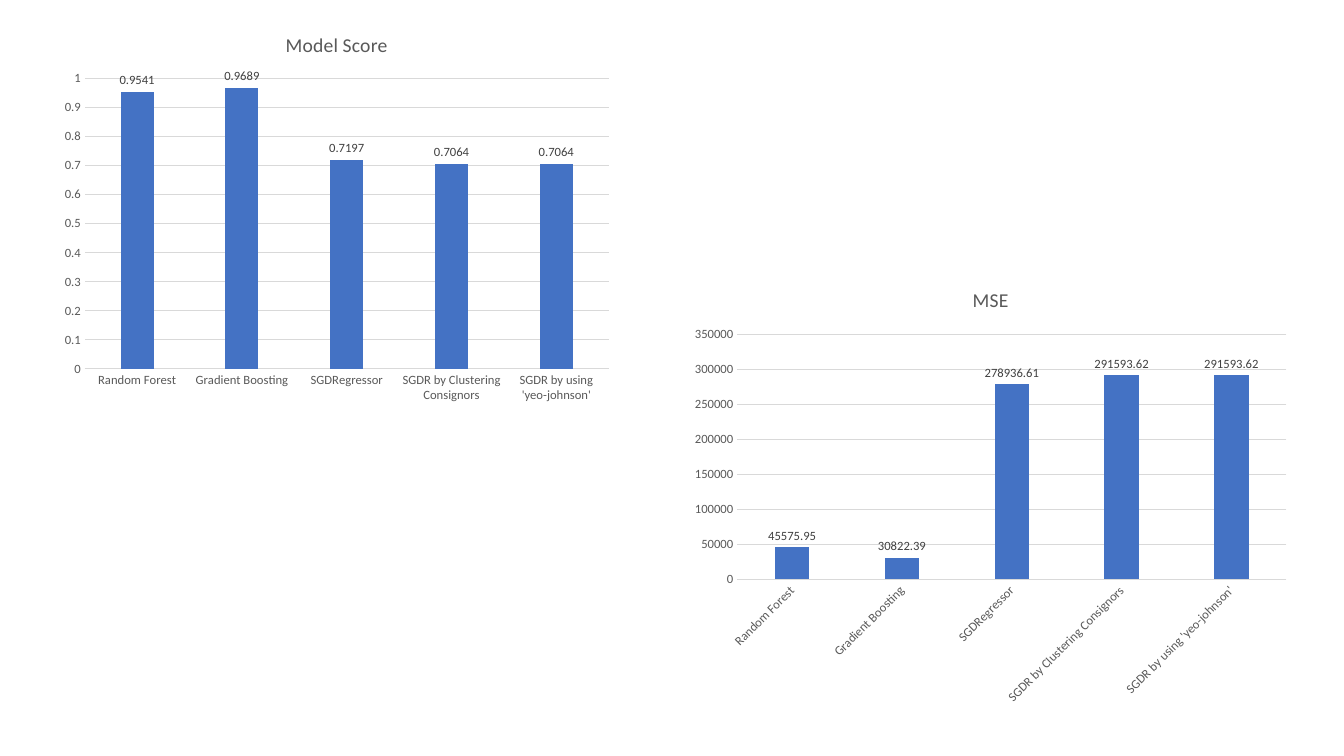
from pptx import Presentation
from pptx.chart.data import CategoryChartData
from pptx.dml.color import RGBColor
from pptx.enum.chart import XL_CHART_TYPE, XL_LABEL_POSITION, XL_TICK_MARK
from pptx.util import Emu, Pt

PX = 9144
SLIDE_SIZE = (1333, 750)
FONT = "Calibri"
BLUE = RGBColor(0x44, 0x72, 0xC4)
GRAY = RGBColor(0x59, 0x59, 0x59)
DARK_GRAY = RGBColor(0x40, 0x40, 0x40)
LIGHT_GRAY = RGBColor(0xD9, 0xD9, 0xD9)

MODELS = [
    "Random Forest",
    "Gradient Boosting",
    "SGDRegressor",
    "SGDR by Clustering Consignors",
    "SGDR by using 'yeo-johnson'",
]
METRICS = [
    {
        "title": "Model Score",
        "scores": [0.9541, 0.9689, 0.7197, 0.7064, 0.7064],
        "box": (53, 14, 562, 393),
        "top": 1,
        "step": 0.1,
        "label_angle": 0,
    },
    {
        "title": "MSE",
        "scores": [45575.95, 30822.39, 278936.61, 291593.62, 291593.62],
        "box": (677, 266, 611, 442),
        "top": 350000,
        "step": 50000,
        "label_angle": -45,
    },
]


def px(length):
    return Emu(length * PX)


def style(font, size=9, color=GRAY):
    font.name = FONT
    font.size = Pt(size)
    font.bold = False
    font.color.rgb = color


def write(frame, text, **look):
    frame.text = text
    style(frame.paragraphs[0].runs[0].font, **look)


def rule(line):
    line.color.rgb = LIGHT_GRAY
    line.width = Pt(0.75)


def style_axes(chart, metric):
    models, scale = chart.category_axis, chart.value_axis
    for axis in (models, scale):
        axis.major_tick_mark = axis.minor_tick_mark = XL_TICK_MARK.NONE
        style(axis.tick_labels.font)
    rule(models.format.line)
    models.has_major_gridlines = False
    body = models.tick_labels.font._element.getparent().getparent().getparent().bodyPr
    body.set("rot", str(metric["label_angle"] * 60000))
    body.set("vert", "horz")
    scale.format.line.fill.background()
    rule(scale.major_gridlines.format.line)
    scale.minimum_scale = 0
    scale.maximum_scale = metric["top"]
    scale.major_unit = metric["step"]


def add_metric(slide, metric):
    scores = CategoryChartData()
    scores.categories = MODELS
    scores.add_series(metric["title"], metric["scores"])
    chart = slide.shapes.add_chart(
        XL_CHART_TYPE.COLUMN_CLUSTERED, *map(px, metric["box"]), scores
    ).chart
    style(chart.font, size=10)
    chart.has_legend = False
    chart.has_title = True
    write(chart.chart_title.text_frame, metric["title"], size=14)
    chart.chart_title.include_in_layout = False
    style_axes(chart, metric)

    columns = chart.plots[0]
    columns.vary_by_categories = False
    columns.gap_width = 219
    columns.overlap = -27
    bars = columns.series[0]
    bars.invert_if_negative = False
    bars.format.fill.solid()
    bars.format.fill.fore_color.rgb = BLUE
    labels = bars.data_labels
    labels.show_value = True
    labels.position = XL_LABEL_POSITION.OUTSIDE_END
    style(labels.font, color=DARK_GRAY)


def main():
    deck = Presentation()
    deck.slide_width, deck.slide_height = map(px, SLIDE_SIZE)
    slide = deck.slides.add_slide(deck.slide_layouts[6])
    for metric in METRICS:
        add_metric(slide, metric)
    deck.save("out.pptx")


if __name__ == "__main__":
    main()
